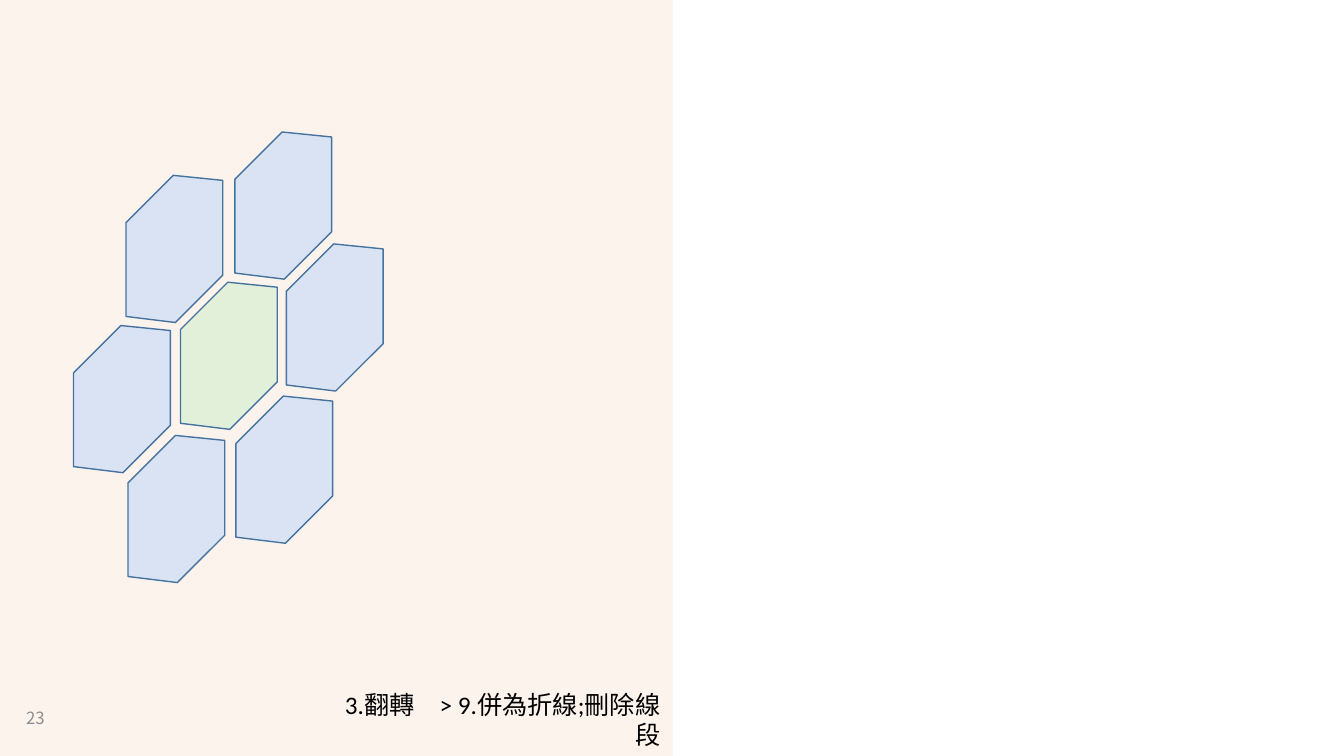
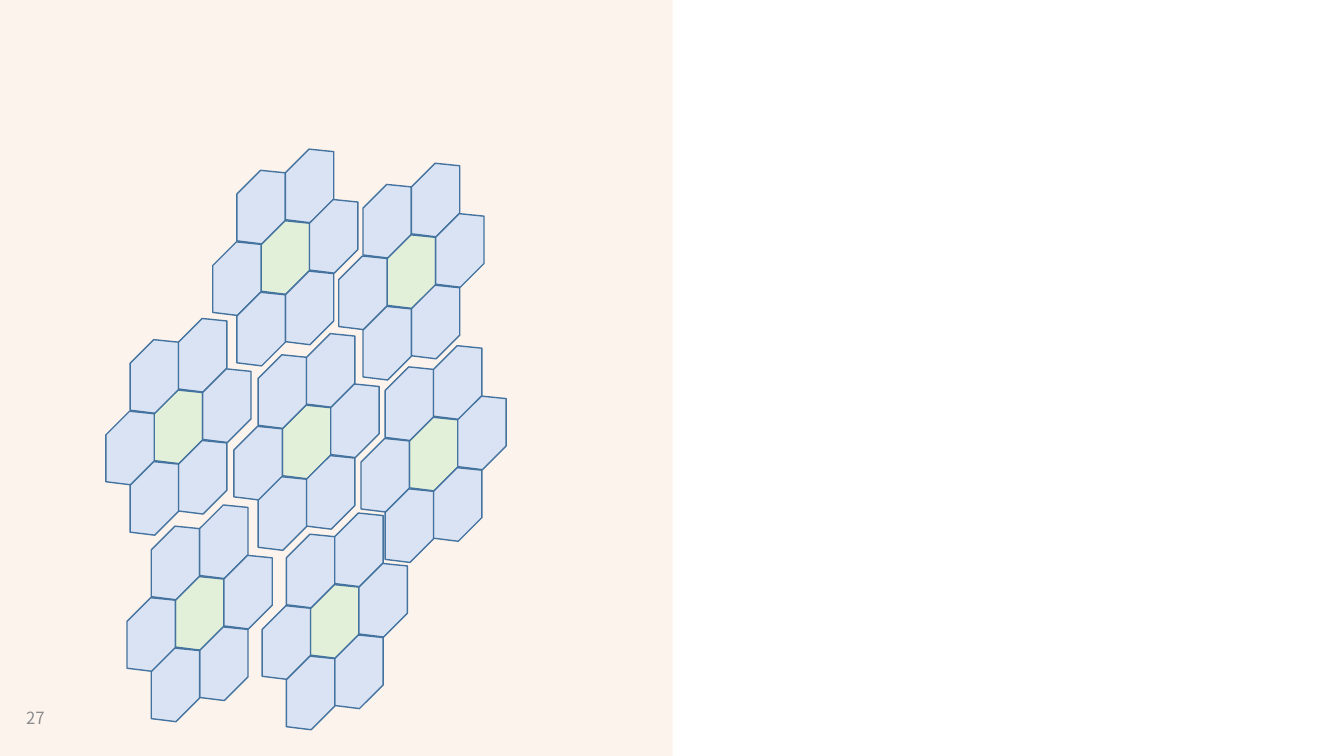
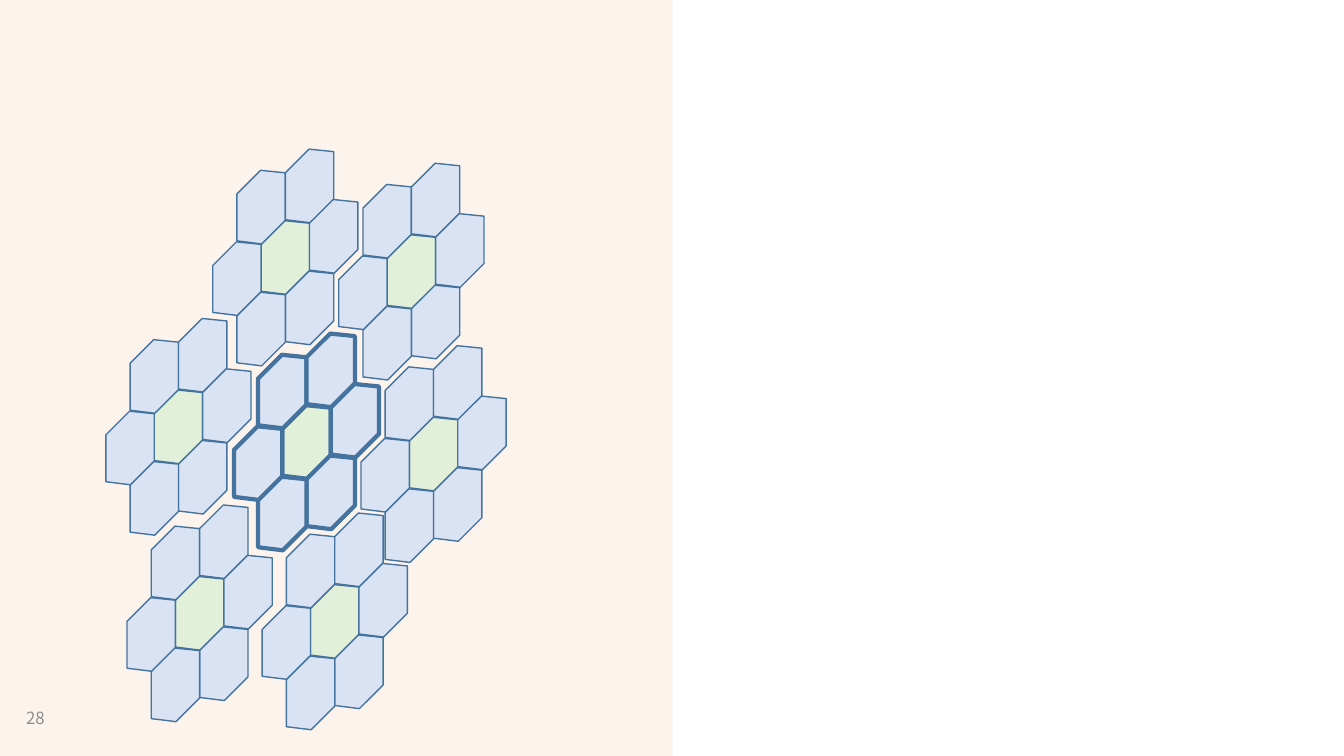
from lxml import etree
from pptx import Presentation
from pptx import util as u
from pptx.dml.color import RGBColor
from pptx.enum import shapes, text
from pptx.oxml.ns import qn

SCALE = 9144
SLIDE_SIZE = (1333, 750)
BAND = (0, 0, 667, 750)
NUMBER_BOX = (16, 693, 67, 39)
CAPTION_BOX = (310, 691, 357, 45)
CAPTION = "3.翻轉　> 9.併為折線;刪除線段"

PEACH, PALE_PEACH = "F4B183", "FBE5D6"
GREEN, BLUE, OUTLINE = "E2F0D9", "DAE3F3", "43739E"
GREY, BLACK = "8C8C8C", "000000"
LATIN_FONT, ASIAN_FONT = "Calibri", "Noto Sans CJK SC"

HEXAGON = [(0, 140), (0, 47), (47, 0), (96, 5), (96, 99), (49, 146)]
LOOSE_CELLS = [(179, 280), (125, 174), (233, 131), (73, 323),
               (284, 242), (234, 393), (127, 432)]

STEP_RIGHT, STEP_DOWN = (48, -21), (24, 50)
RING = [(0, 0), (0, -1), (1, -1), (-1, 0), (1, 0), (0, 1), (-1, 1)]
FLOWERS = [(259, 219), (153, 387), (280, 402), (384, 233),
           (406, 414), (308, 580), (174, 572)]
CENTRE_FLOWER = (280, 402)


def px(value):
    return u.Emu(round(value * SCALE))


def colour(hex_string):
    return RGBColor.from_string(hex_string)


def set_alpha(fill_parent, percent):
    for element in fill_parent.iter(qn("a:srgbClr")):
        etree.SubElement(element, qn("a:alpha")).set("val", str(percent * 1000))


def write(shape, words, size, font, hex_string, align):
    frame = shape.text_frame
    frame.word_wrap = True
    frame.vertical_anchor = text.MSO_ANCHOR.MIDDLE
    frame.text = words
    paragraph = frame.paragraphs[0]
    paragraph.alignment = align
    run = paragraph.runs[0]
    run.font.size = u.Pt(size)
    run.font.name = font
    run.font.color.rgb = colour(hex_string)
    etree.SubElement(run.font._element, qn("a:ea")).set("typeface", ASIAN_FONT)


def add_base(presentation, number):
    slide = presentation.slides.add_slide(presentation.slide_layouts[6])
    band = slide.shapes.add_shape(shapes.MSO_SHAPE.RECTANGLE, *map(px, BAND))
    band.shadow.inherit = False
    band.fill.solid()
    band.fill.fore_color.rgb = colour(PEACH)
    set_alpha(band._element.spPr, 14)
    band.line.fill.background()

    left, top, width, height = BAND
    edge = slide.shapes.add_connector(
        shapes.MSO_CONNECTOR.STRAIGHT,
        px(left + width), px(top + height), px(left + width), px(top))
    edge.line.color.rgb = colour(PALE_PEACH)
    edge.line.width = u.Pt(0.25)
    set_alpha(edge._element.spPr, 50)
    etree.SubElement(edge._element.spPr, qn("a:effectLst"))

    box = slide.shapes.add_textbox(*map(px, NUMBER_BOX))
    write(box, str(number), 12, ASIAN_FONT, GREY, text.PP_ALIGN.LEFT)
    return slide


def add_cell(container, left, top, size, fill, weight):
    points = [(px(left + x * size), px(top + y * size)) for x, y in HEXAGON]
    builder = container.build_freeform(*points[0], scale=1.0)
    builder.add_line_segments(points[1:], close=True)
    cell = builder.convert_to_shape()
    cell.shadow.inherit = False
    cell.fill.solid()
    cell.fill.fore_color.rgb = colour(fill)
    cell.line.color.rgb = colour(OUTLINE)
    cell.line.width = u.Pt(weight)


def add_cells(container, positions, size, weight):
    for index, (left, top) in enumerate(positions):
        add_cell(container, left, top, size, BLUE if index else GREEN, weight)


def add_flower(slide, origin, weight):
    positions = [tuple(start + i * right + j * down for start, right, down
                       in zip(origin, STEP_RIGHT, STEP_DOWN)) for i, j in RING]
    add_cells(slide.shapes.add_group_shape().shapes, positions, 0.5, weight)


def add_loose_slide(presentation, number):
    slide = add_base(presentation, number)
    caption = slide.shapes.add_shape(
        shapes.MSO_SHAPE.ROUNDED_RECTANGLE, *map(px, CAPTION_BOX))
    caption.shadow.inherit = False
    caption.fill.background()
    caption.line.fill.background()
    caption.text_frame.margin_left = px(15)
    write(caption, CAPTION, 18, LATIN_FONT, BLACK, text.PP_ALIGN.RIGHT)
    add_cells(slide.shapes, LOOSE_CELLS, 1, 1)


def add_flower_slide(presentation, number, bold=None):
    slide = add_base(presentation, number)
    for origin in sorted(FLOWERS, key=lambda flower: flower != bold):
        add_flower(slide, origin, 3 if origin == bold else 1)


def main():
    presentation = Presentation()
    presentation.slide_width, presentation.slide_height = map(px, SLIDE_SIZE)
    add_loose_slide(presentation, 23)
    add_flower_slide(presentation, 27)
    add_flower_slide(presentation, 28, CENTRE_FLOWER)
    presentation.save("out.pptx")


if __name__ == "__main__":
    main()
